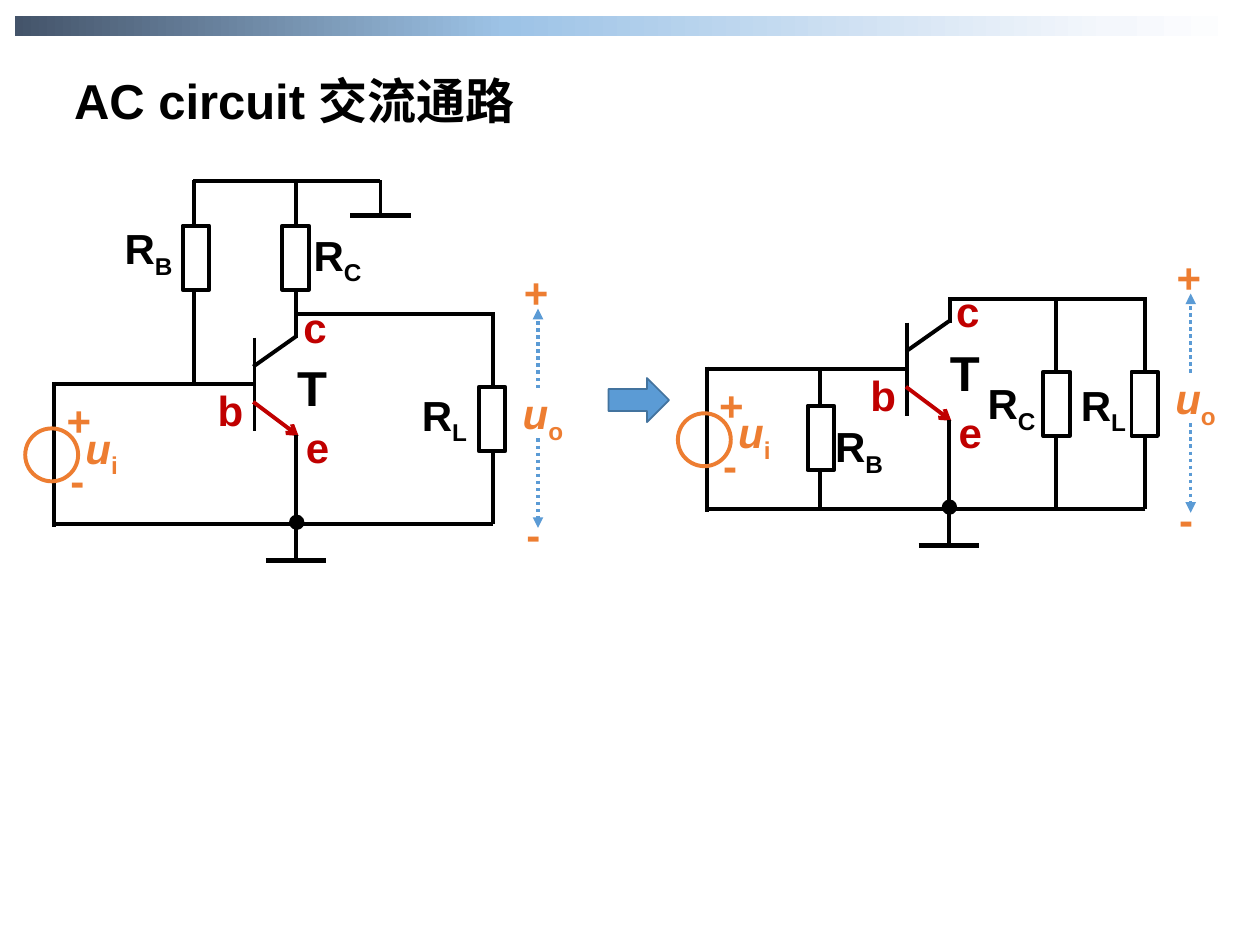
import copy
from dataclasses import dataclass
from typing import Any

import lxml.etree
import pptx
import pptx.dml.color
import pptx.enum.dml
import pptx.enum.shapes
import pptx.enum.text
import pptx.oxml.ns
import pptx.util

Inches = pptx.util.Inches
Pt = pptx.util.Pt
qn = pptx.oxml.ns.qn
SHAPE = pptx.enum.shapes.MSO_SHAPE

COLORS = {
    "ink": "000000", "paper": "FFFFFF", "pin": "C00000", "signal": "ED7D31",
    "blue": "5B9BD5", "blue_edge": "43739E",
}
BAR_STOPS = [(0, "44546A"), (40, "9DC3E6"), (89, "F4F7FC"), (100, "FFFFFF")]


@dataclass(frozen=True)
class Wire:
    x1: float
    y1: float
    x2: float
    y2: float
    color: str = "ink"
    width: float = 2.25
    head: str = ""
    tail: str = ""
    dotted: bool = False


@dataclass(frozen=True)
class Resistor:
    x: float  # left of the box before it is turned upright
    y: float


@dataclass(frozen=True)
class Label:
    text: str
    x: float
    y: float
    w: float
    h: float = 0.5
    color: str = "ink"
    sub: str = ""
    size: int = 24
    italic: bool = False


@dataclass(frozen=True)
class Part:
    wires: list[Wire]
    resistors: list[Resistor]
    labels: list[Label]


def rgb(name: str) -> pptx.dml.color.RGBColor:
    return pptx.dml.color.RGBColor.from_string(COLORS[name])


def add_shape(shapes: Any, kind: Any, box: tuple, fill: str = "",
              line: str = "", width: float = 2.25) -> Any:
    sp = shapes.add_shape(kind, *(Inches(v) for v in box))
    sp.shadow.inherit = False
    if fill:
        sp.fill.solid()
        sp.fill.fore_color.rgb = rgb(fill)
    else:
        sp.fill.background()
    if line:
        sp.line.color.rgb = rgb(line)
        sp.line.width = Pt(width)
    else:
        sp.line.fill.background()
    return sp


def add_wire(shapes: Any, wire: Wire, dx: float, dy: float) -> None:
    cxn = shapes.add_connector(
        pptx.enum.shapes.MSO_CONNECTOR.STRAIGHT,
        Inches(wire.x1 + dx), Inches(wire.y1 + dy),
        Inches(wire.x2 + dx), Inches(wire.y2 + dy))
    cxn.line.color.rgb = rgb(wire.color)
    cxn.line.width = Pt(wire.width)
    if wire.dotted:
        cxn.line.dash_style = pptx.enum.dml.MSO_LINE.ROUND_DOT
    ln = cxn.line._get_or_add_ln()
    for tag, arrow in (("a:headEnd", wire.head), ("a:tailEnd", wire.tail)):
        if arrow:
            lxml.etree.SubElement(ln, qn(tag), type=arrow)
    lxml.etree.SubElement(cxn._element.spPr, qn("a:effectLst"))


def add_run(p: Any, text: str, size: int, color: str, font: str = "Arial") -> Any:
    r = p.add_run()
    r.text = text
    r.font.name = font
    r.font.size = Pt(size)
    r.font.bold = True
    r.font.color.rgb = rgb(color)
    return r


def add_text_box(shapes: Any, box: tuple) -> Any:
    tf = shapes.add_textbox(*(Inches(v) for v in box)).text_frame
    tf.word_wrap = True
    tf.auto_size = pptx.enum.text.MSO_AUTO_SIZE.SHAPE_TO_FIT_TEXT
    return tf.paragraphs[0]


def add_label(shapes: Any, label: Label, dx: float, dy: float) -> None:
    p = add_text_box(shapes, (label.x + dx, label.y + dy, label.w, label.h))
    r = add_run(p, label.text, label.size, label.color)
    if label.italic:
        r.font.italic = True
    if label.sub:
        r = add_run(p, label.sub, label.size, label.color)
        r.font._element.set("baseline", "-25000")


def draw_part(shapes: Any, part: Part, dx: float = 0, dy: float = 0) -> None:
    for wire in part.wires:
        add_wire(shapes, wire, dx, dy)
    for res in part.resistors:
        sp = add_shape(shapes, SHAPE.RECTANGLE,
                       (res.x + dx, res.y + dy, 0.51, 0.21), "paper", "ink")
        sp.rotation = 270
    for label in part.labels:
        add_label(shapes, label, dx, dy)


def resistor_label(sub: str, x: float, y: float, w: float = 0.79) -> Label:
    return Label("R", x, y, w, 0.59, sub=sub)


# Amplifier core found in both circuits: source, transistor, load, ground
CORE = Part(
    wires=[
        Wire(2.02, 2.68, 2.02, 3.42),
        Wire(2.02, 3.05, 0.43, 3.05),
        Wire(2.01, 2.91, 2.35, 2.67),
        Wire(2.37, 3.46, 2.01, 3.19, "pin", head="arrow"),
        Wire(2.35, 3.45, 2.35, 4.45),
        Wire(3.91, 4.16, 0.43, 4.16),
        Wire(3.91, 2.49, 2.35, 2.49),
        Wire(3.91, 2.48, 3.91, 4.16),
        Wire(0.43, 3.03, 0.43, 4.18),
        Wire(2.11, 4.45, 2.59, 4.45, width=3),
        Wire(4.27, 3.48, 4.27, 4.19, "blue", 2, tail="triangle", dotted=True),
        Wire(4.27, 3.08, 4.27, 2.45, "blue", 2, tail="triangle", dotted=True),
    ],
    resistors=[Resistor(3.65, 3.22)],
    labels=[
        Label("u", 0.58, 3.3, 0.52, 0.59, "signal", "i", italic=True),
        Label("+", 0.43, 3.08, 0.64, color="signal"),
        Label("-", 0.46, 3.56, 0.41, color="signal"),
        Label("u", 4.05, 3.03, 0.64, 0.59, "signal", "o", italic=True),
        Label("+", 4.06, 2.07, 0.64, color="signal"),
        Label("-", 4.08, 3.99, 0.41, color="signal"),
        Label("T", 2.26, 2.79, 0.53, 0.57, size=28),
        Label("b", 1.63, 3, 0.47, color="pin"),
        Label("e", 2.33, 3.3, 0.47, color="pin"),
        Label("c", 2.31, 2.34, 0.47, color="pin"),
    ],
)
# Left: RB and RC go up to the grounded supply rail
SUPPLY_RAIL = Part(
    wires=[
        Wire(2.35, 2.68, 2.35, 1.43),
        Wire(1.54, 3.05, 1.54, 1.43),
        Wire(3.02, 1.44, 1.53, 1.44),
        Wire(3.02, 1.43, 3.02, 1.72),
        Wire(2.78, 1.71, 3.26, 1.71, width=3),
    ],
    resistors=[Resistor(1.3, 1.94), Resistor(2.09, 1.94)],
    labels=[resistor_label("B", 0.89, 1.72, 0.64),
            resistor_label("C", 2.39, 1.77), resistor_label("L", 3.25, 3.04)],
)
# Right: RB and RC are redrawn in parallel with input and load
PARALLEL = Part(
    wires=[
        Wire(7.54, 2.56, 7.54, 2.36),
        Wire(6.51, 2.94, 6.51, 4.03),
        Wire(8.38, 2.38, 8.38, 4.03),
    ],
    resistors=[Resistor(6.26, 3.37), Resistor(8.13, 3.1)],
    labels=[resistor_label("B", 6.53, 3.29, 0.64),
            resistor_label("C", 7.74, 2.95), resistor_label("L", 8.48, 2.96)],
)


def draw_circuit(slide: Any, extra: Part, dx: float, dy: float) -> None:
    shapes = slide.shapes.add_group_shape().shapes
    draw_part(shapes, CORE, dx, dy)
    draw_part(shapes, extra)
    add_shape(shapes, SHAPE.OVAL, (0.2 + dx, 3.4 + dy, 0.42, 0.42), line="signal")
    add_shape(shapes, SHAPE.OVAL, (2.31 + dx, 4.1 + dy, 0.09, 0.09), "ink", "ink")


def draw_bar(slide: Any) -> None:
    sp = add_shape(slide.shapes, SHAPE.RECTANGLE, (0.12, 0.13, 9.76, 0.16))
    sp.fill.gradient()
    sp.fill.gradient_angle = 0
    stops = sp._element.spPr.find(qn("a:gradFill")).find(qn("a:gsLst"))
    for _ in BAR_STOPS[2:]:
        stops.append(copy.deepcopy(stops[0]))
    for stop, (percent, color) in zip(sp.fill.gradient_stops, BAR_STOPS):
        stop.position = percent / 100
        stop.color.rgb = pptx.dml.color.RGBColor.from_string(color)


def draw_title(slide: Any) -> None:
    p = add_text_box(slide.shapes, (0.36, 0.51, 3.95, 0.57))
    p.alignment = pptx.enum.text.PP_ALIGN.CENTER
    add_run(p, "AC circuit ", 28, "ink")
    cjk = "Noto Sans CJK SC"
    r = add_run(p, "交流通路", 28, "ink", cjk)
    lxml.etree.SubElement(r.font._element, qn("a:ea"), typeface=cjk)


def main() -> None:
    prs = pptx.Presentation()
    prs.slide_width, prs.slide_height = Inches(10), Inches(7.5)
    s = prs.slides.add_slide(prs.slide_layouts[6])
    draw_bar(s)
    draw_circuit(s, PARALLEL, 5.18, -0.12)
    add_shape(s.shapes, SHAPE.RIGHT_ARROW, (4.83, 3, 0.48, 0.35),
              "blue", "blue_edge", 1)
    draw_title(s)
    draw_circuit(s, SUPPLY_RAIL, 0, 0)
    prs.save("out.pptx")


if __name__ == "__main__":
    main()
